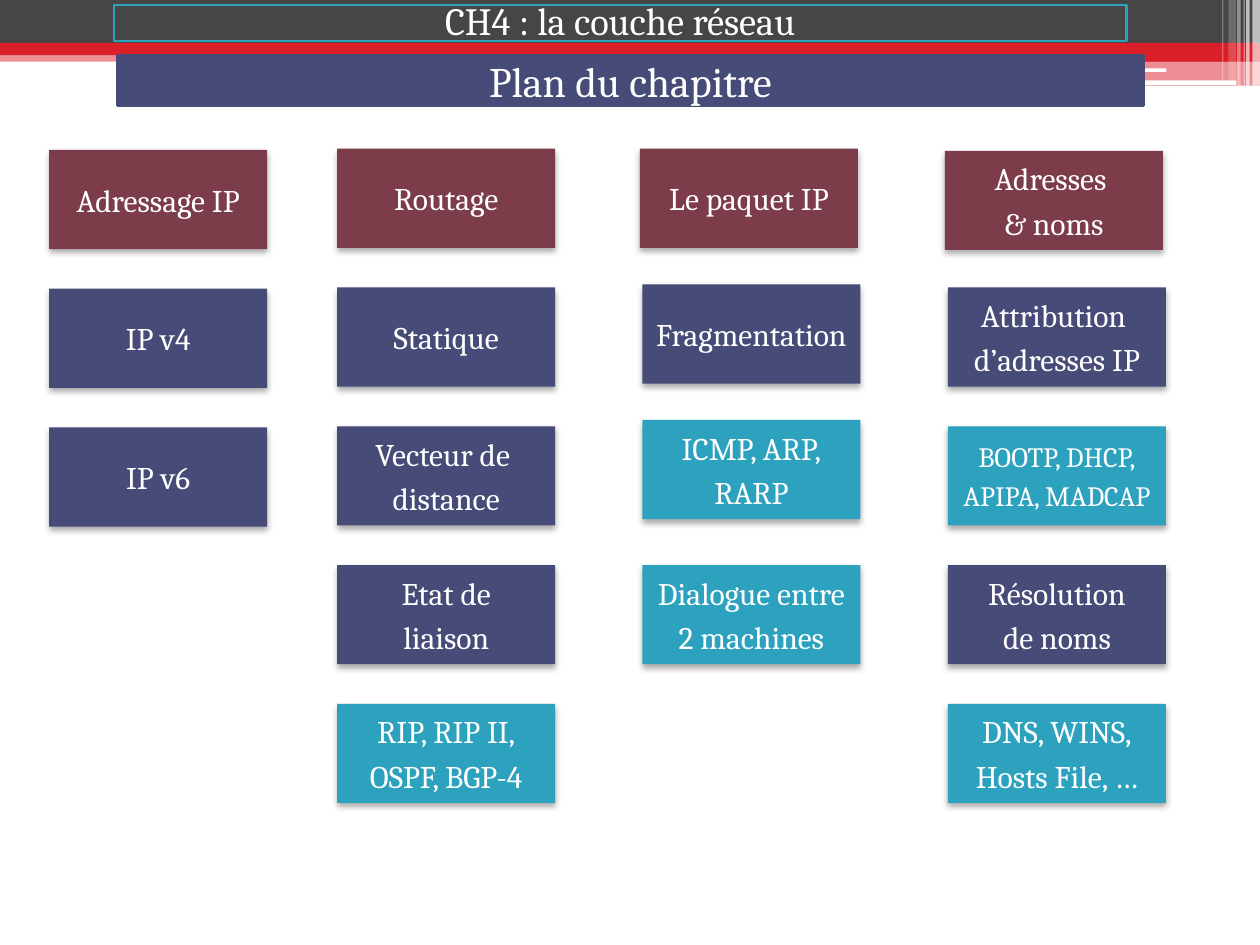
import pptx
import pptx.util
import pptx.dml.color
import pptx.enum.shapes
import pptx.enum.text
import pptx.oxml
import pptx.oxml.ns

Pt = pptx.util.Pt
SHAPES = pptx.enum.shapes.MSO_SHAPE
NS = pptx.oxml.ns.nsdecls("a")
RED, DARK, WHITE = "DA1F28", "464646", "FFFFFF"
MAROON, INDIGO, TEAL = "7D3C4A", "474B78", "2DA2BF"

deck = pptx.Presentation()
deck.slide_width, deck.slide_height = Pt(720), Pt(540)
page = deck.slides.add_slide(deck.slide_layouts[5])


def add_block(left, top, width, height, fill, alpha=100, kind=SHAPES.RECTANGLE, shadow=False):
    """Add a borderless filled shape, optionally translucent or with a soft shadow."""
    block = page.shapes.add_shape(kind, Pt(left), Pt(top), Pt(width), Pt(height))
    block.shadow.inherit = False
    block.fill.solid()
    block.fill.fore_color.rgb = pptx.dml.color.RGBColor.from_string(fill)
    block.line.fill.background()
    if alpha < 100:
        color = block.element.spPr.find(".//" + pptx.oxml.ns.qn("a:srgbClr"))
        color.append(pptx.oxml.parse_xml(f'<a:alpha {NS} val="{alpha * 1000}"/>'))
    if shadow:
        effects = block.element.spPr.find(pptx.oxml.ns.qn("a:effectLst"))
        effects.append(pptx.oxml.parse_xml(
            f'<a:outerShdw {NS} blurRad="{Pt(3.5)}" dist="{Pt(2.2)}" dir="5400000" '
            'rotWithShape="0"><a:srgbClr val="000000"><a:alpha val="32000"/></a:srgbClr>'
            '</a:outerShdw>'))
    return block


def write(box, text, size=18, wrap=True, line_spacing=None):
    """Write centred white text, one paragraph per line."""
    frame = box.text_frame
    frame.text = text
    frame.word_wrap = wrap
    frame.auto_size = pptx.enum.text.MSO_AUTO_SIZE.NONE
    frame.vertical_anchor = pptx.enum.text.MSO_ANCHOR.MIDDLE
    for index, para in enumerate(frame.paragraphs):
        para.alignment = pptx.enum.text.PP_ALIGN.CENTER
        para.space_before = Pt(0.2 * size if index else 0)
        if line_spacing:
            para.line_spacing = line_spacing
        para.font.size = Pt(size)
        para.font.name = "Cambria"
        para.font.color.rgb = pptx.dml.color.RGBColor.from_string(WHITE)


# Header bands: left, top, width, height, colour, opacity
for band in [
    (0, 28.8, 720, 6.5, RED, 50),
    (0, 0, 720, 24.5, DARK, 100),
    (0, 24.5, 720, 7, RED, 100),
    (426, 28, 294, 7.2, RED, 100),
    (426, 35, 294, 14, RED, 50),
]:
    add_block(*band)

# White dashes in the header
for left, top, width, height in [(425.5, 39, 241, 2), (580.5, 46, 126, 2.6)]:
    dash = add_block(left, top, width, height, WHITE, kind=SHAPES.ROUNDED_RECTANGLE)
    dash.adjustments[0] = 0.167

# Vertical light stripes at the right edge: left, width, height, opacity
for left, width, height, alpha in [
    (715.7, 4.3, 49, 65), (712.1, 2, 49, 65), (710.6, 0.7, 49, 60),
    (707, 2, 49, 40), (702, 4.3, 46, 20), (698.4, 0.7, 46, 30),
]:
    add_block(left, 0, width, height, WHITE, alpha)

# Chapter plan: heading left, topics left, tops, then (colour, text) for each box
ROWS = [85 + 79.3 * row for row in range(5)]
columns = [
    (28.1, 28.1, [top + 0.7 for top in ROWS], [
        (MAROON, "Adressage IP"), (INDIGO, "IP v4"), (INDIGO, "IP v6")]),
    (192.7, 192.7, ROWS, [
        (MAROON, "Routage"), (INDIGO, "Statique"), (INDIGO, "Vecteur de \ndistance"),
        (INDIGO, "Etat de\nliaison"), (TEAL, "RIP, RIP II,\nOSPF, BGP-4")]),
    (365.7, 367.1, [85, 162.5, 240, ROWS[3]], [
        (MAROON, "Le paquet IP"), (INDIGO, "Fragmentation"), (TEAL, "ICMP, ARP,\nRARP"),
        (TEAL, "Dialogue entre\n2 machines")]),
    (540, 541.7, [86.2] + ROWS[1:], [
        (MAROON, "Adresses \n& noms"), (INDIGO, "Attribution \nd’adresses IP"),
        (TEAL, "BOOTP, DHCP,\nAPIPA, MADCAP"), (INDIGO, "Résolution\nde noms"),
        (TEAL, "DNS, WINS,\nHosts File, …")]),
]
for heading_left, topic_left, tops, topics in columns:
    for top, (fill, text) in zip(tops, topics):
        left = heading_left if fill == MAROON else topic_left
        box = add_block(left, top, 124.6, 56.7, fill, shadow=True)
        write(box, text, size=16 if "DHCP" in text else 18, wrap=False)

# Subtitle bar
bar = add_block(67, 31.5, 586.5, 28.8, INDIGO, kind=SHAPES.ROUNDED_RECTANGLE)
bar.adjustments[0] = 0
bar.line.color.rgb = pptx.dml.color.RGBColor.from_string(INDIGO)
bar.line.width = Pt(1.5)
write(bar, "Plan du chapitre", size=24)

# Chapter title, brought in front of the header bands
title = page.shapes.title
title.left, title.top, title.width, title.height = Pt(65.2), Pt(2.8), Pt(578.4), Pt(20.6)
title.line.color.rgb = pptx.dml.color.RGBColor.from_string(TEAL)
title.line.width = Pt(1.5)
write(title, "CH4 : la couche réseau", size=22, line_spacing=0.9)
title.element.getparent().append(title.element)

deck.save("out.pptx")
